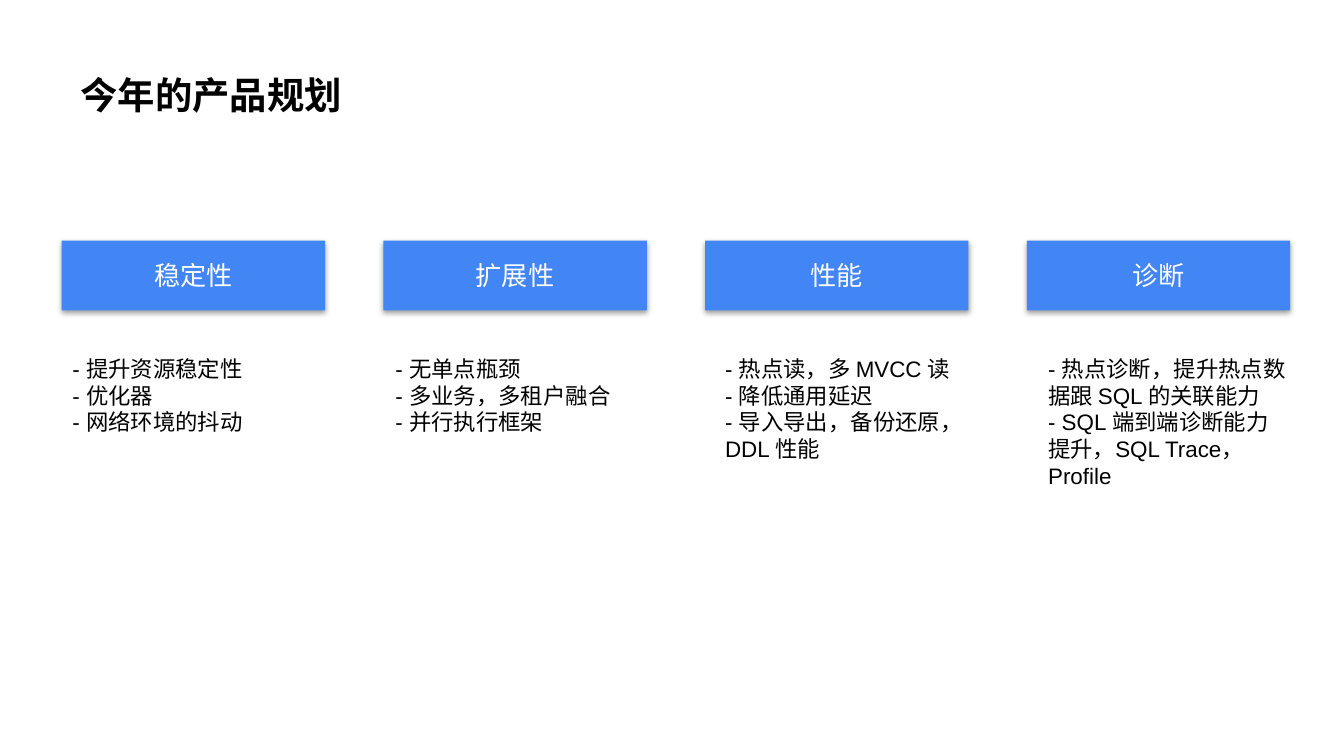
import pptx
import pptx.util
import pptx.dml.color
import pptx.enum.shapes
import pptx.enum.text
import pptx.oxml
import pptx.oxml.ns

Inches = pptx.util.Inches


def paint(text):
    return pptx.dml.color.RGBColor.from_string(text)


def write(shapes, area, lines, size, color, inset=0.1):
    box = shapes.add_textbox(*[Inches(n) for n in area])
    frame = box.text_frame
    frame.word_wrap = True
    frame.auto_size = pptx.enum.text.MSO_AUTO_SIZE.SHAPE_TO_FIT_TEXT
    frame.margin_left = frame.margin_right = Inches(inset)
    frame.margin_top = frame.margin_bottom = Inches(inset)
    for i, line in enumerate(lines):
        para = frame.add_paragraph() if i else frame.paragraphs[0]
        para.text = line
        for run in para.runs:
            run.font.name = "Arial"
            run.font.size = pptx.util.Pt(size)
            run.font.color.rgb = paint(color)
    for node in box.element.iter(pptx.oxml.ns.qn("a:p")):
        node.get_or_add_pPr().set("hangingPunct", "0")
    return frame


deck = pptx.Presentation()
deck.slide_width = Inches(10)
deck.slide_height = Inches(10 * 9 / 16)
slide = deck.slides.add_slide(deck.slide_layouts[6])

title = write(slide.shapes, (0.5, 0.39, 3.74, 0.59), ["今年的产品规划"], 20, "000000")
title.paragraphs[0].line_spacing = 1.15
title.paragraphs[0].runs[0].font.bold = True

left, last, width = 0.46, 7.64, 1.96
step = (last - left) / 3
shade = (
    f'<a:effectLst {pptx.oxml.ns.nsdecls("a")}>'
    '<a:outerShdw blurRad="38100" dist="20320" dir="5400000" rotWithShape="0">'
    '<a:srgbClr val="000000"><a:alpha val="38000"/></a:srgbClr>'
    '</a:outerShdw></a:effectLst>'
)

plans = [
    ("稳定性", -0.02, 0.92, ["- 提升资源稳定性", "- 优化器", "- 网络环境的抖动"]),
    ("扩展性", -0.01, 0.92, ["- 无单点瓶颈", "- 多业务，多租户融合", "- 并行执行框架"]),
    ("性能", 0.05, 1.16, ["- 热点读，多 MVCC 读", "- 降低通用延迟", "- 导入导出，备份还原，DDL 性能"]),
    ("诊断", 0.06, 1.36, ["- 热点诊断，提升热点数据跟 SQL 的关联能力\n- SQL 端到端诊断能力提升，SQL Trace，Profile"]),
]

for col, (name, shift, height, items) in enumerate(plans):
    x = left + col * step
    group = slide.shapes.add_group_shape()
    bar = group.shapes.add_shape(
        pptx.enum.shapes.MSO_SHAPE.RECTANGLE,
        Inches(x), Inches(1.79), Inches(width), Inches(0.52))
    bar.fill.solid()
    bar.fill.fore_color.rgb = paint("4285F4")
    bar.line.fill.background()
    bar.element.spPr.append(pptx.oxml.parse_xml(shade))
    label = write(group.shapes, (x, 1.86, width, 0.38), [name], 14, "FFFFFF", 0.05)
    label.vertical_anchor = pptx.enum.text.MSO_ANCHOR.MIDDLE
    label.paragraphs[0].alignment = pptx.enum.text.PP_ALIGN.CENTER
    write(slide.shapes, (x + shift, 2.54, 1.98, height), items, 12, "000000")

deck.save("out.pptx")
